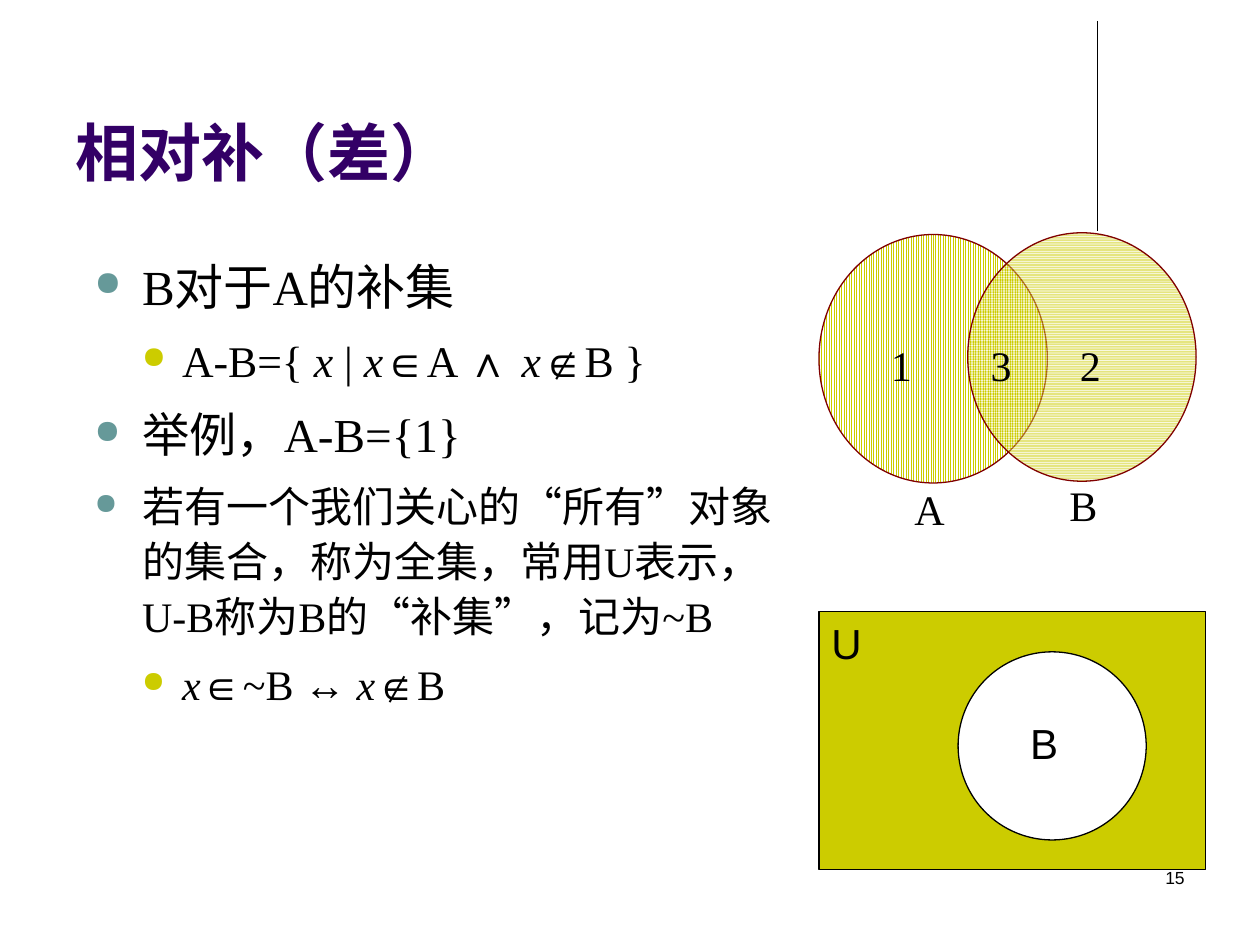
from lxml.etree import SubElement
from pptx import Presentation
from pptx.dml.color import RGBColor
from pptx.enum.dml import MSO_PATTERN
from pptx.enum.shapes import MSO_CONNECTOR, MSO_SHAPE
from pptx.enum.text import MSO_ANCHOR, PP_ALIGN
from pptx.oxml.ns import qn
from pptx.util import Pt

COLORS = {
    "text": "000000",
    "title": "330066",
    "teal": "669999",
    "olive": "CCCC00",
    "maroon": "800000",
    "white": "FFFFFF",
}
SERIF, SANS = "Times New Roman", "Arial"
LEVELS = [("teal", 54.6, 27.3), ("olive", 77.5, 23)]  # bullet, margin, hanging
# Level, size, runs; every second run is an italic variable.
BODY = [
    (0, 28, ["B对于A的补集"]),
    (1, 25, ["A-B={ ", "x ", "| ", "x", "∈A ∧ ", "x", "∉B }"]),
    (0, 27, ["举例，A-B={1}"]),
    (0, 24, ["若有一个我们关心的“所有”对象的集合，称为全集，常用U表示，U-B称为B的“补集”，记为~B"]),
    (1, 24, ["", "x", "∈~B ↔ ", "x", "∉B"]),
]


def color(name):
    return RGBColor.from_string(COLORS[name])


def style(paragraph, size, font, font_color="text", bold=False):
    paragraph.font.size = Pt(size)
    paragraph.font.name = font
    paragraph.font.bold = bold
    paragraph.font.color.rgb = color(font_color)


def add_frame(slide, left, top, width, height):
    box = slide.shapes.add_textbox(Pt(left), Pt(top), Pt(width), Pt(height))
    box.text_frame.word_wrap = True
    return box.text_frame


def add_label(slide, left, top, width, text, size=24, font=SERIF, align=PP_ALIGN.LEFT):
    paragraph = add_frame(slide, left, top, width, 36).paragraphs[0]
    paragraph.text = text
    paragraph.alignment = align
    style(paragraph, size, font)


def add_outlined(slide, kind, left, top, width, height, line="text"):
    shape = slide.shapes.add_shape(kind, Pt(left), Pt(top), Pt(width), Pt(height))
    shape.shadow.inherit = False
    shape.line.color.rgb = color(line)
    shape.line.width = Pt(0.75)
    return shape


def add_title(slide, left, top, width, height):
    frame = add_frame(slide, left, top, width, height)
    frame.vertical_anchor = MSO_ANCHOR.BOTTOM
    frame.paragraphs[0].text = "相对补（差）"
    style(frame.paragraphs[0], 36, SANS, "title", bold=True)


def add_bullet(paragraph, level):
    bullet_color, margin, hanging = LEVELS[level]
    properties = paragraph._p.get_or_add_pPr()
    properties.set("marL", str(Pt(margin)))
    properties.set("indent", str(-Pt(hanging)))
    fill = SubElement(properties, qn("a:buClr"))
    SubElement(fill, qn("a:srgbClr"), val=COLORS[bullet_color])
    SubElement(properties, qn("a:buSzPct"), val="70000")
    SubElement(properties, qn("a:buChar"), char="●")


def add_body(slide, left, top, width, height):
    frame = add_frame(slide, left, top, width, height)
    for index, (level, size, runs) in enumerate(BODY):
        paragraph = frame.add_paragraph() if index else frame.paragraphs[0]
        paragraph.level = level
        paragraph.line_spacing = 1.1
        paragraph.space_before = Pt(0.3 * size)
        add_bullet(paragraph, level)
        style(paragraph, size, SERIF)
        for position, text in enumerate(runs):
            if text:
                run = paragraph.add_run()
                run.text = text
                run.font.italic = position % 2 == 1


def add_hatched_set(slide, left, top, pattern, opacity=None):
    shape = add_outlined(slide, MSO_SHAPE.OVAL, left, top, 130.5, 142, "maroon")
    shape.fill.patterned()
    shape.fill.pattern = pattern
    shape.fill.fore_color.rgb = color("olive")
    shape.fill.back_color.rgb = color("white")
    if opacity:
        pattern_fill = shape._element.spPr.find(qn("a:pattFill"))
        for value in pattern_fill.iter(qn("a:srgbClr")):
            SubElement(value, qn("a:alpha"), val=str(opacity * 1000))


def add_difference_diagram(slide, left, top):
    add_hatched_set(slide, left, top + 1, MSO_PATTERN.LIGHT_VERTICAL)
    add_hatched_set(slide, left + 85, top, MSO_PATTERN.LIGHT_HORIZONTAL, 50)
    add_label(slide, left + 47.5, top + 140, 45, "A")
    add_label(slide, left + 136, top + 137.5, 45, "B")
    for text, offset in (("1", 34), ("2", 142), ("3", 91)):
        add_label(slide, left + offset, top + 57.5, 28, text)


def add_complement_diagram(slide, left, top, width, height):
    universe = add_outlined(slide, MSO_SHAPE.RECTANGLE, left, top, width, height)
    subset = add_outlined(slide, MSO_SHAPE.OVAL, left + 79.5, top + 23, 107.5, 107.5)
    for shape, fill in ((universe, "olive"), (subset, "white")):
        shape.fill.solid()
        shape.fill.fore_color.rgb = color(fill)
    add_label(slide, left, top, 36, "U", font=SANS)
    add_label(slide, left + 113.5, top + 57, 40, "B", font=SANS)


def add_rule(slide, x, top, bottom):
    rule = slide.shapes.add_connector(MSO_CONNECTOR.STRAIGHT, Pt(x), Pt(top), Pt(x), Pt(bottom))
    rule.line.color.rgb = color("text")
    rule.line.width = Pt(0.75)
    SubElement(rule._element.spPr, qn("a:effectLst"))


def main():
    presentation = Presentation()
    presentation.slide_width, presentation.slide_height = Pt(720), Pt(540)
    slide = presentation.slides.add_slide(presentation.slide_layouts[6])
    add_rule(slide, 627, 12, 132)
    add_title(slide, 36, 9.5, 594, 102)
    add_body(slide, 19.5, 139.5, 436.5, 366)
    add_difference_diagram(slide, 468, 133)
    add_complement_diagram(slide, 468, 349.5, 221, 147.5)
    add_label(slide, 516, 492, 168, "15", 10, SANS, PP_ALIGN.RIGHT)
    presentation.save("out.pptx")


if __name__ == "__main__":
    main()
